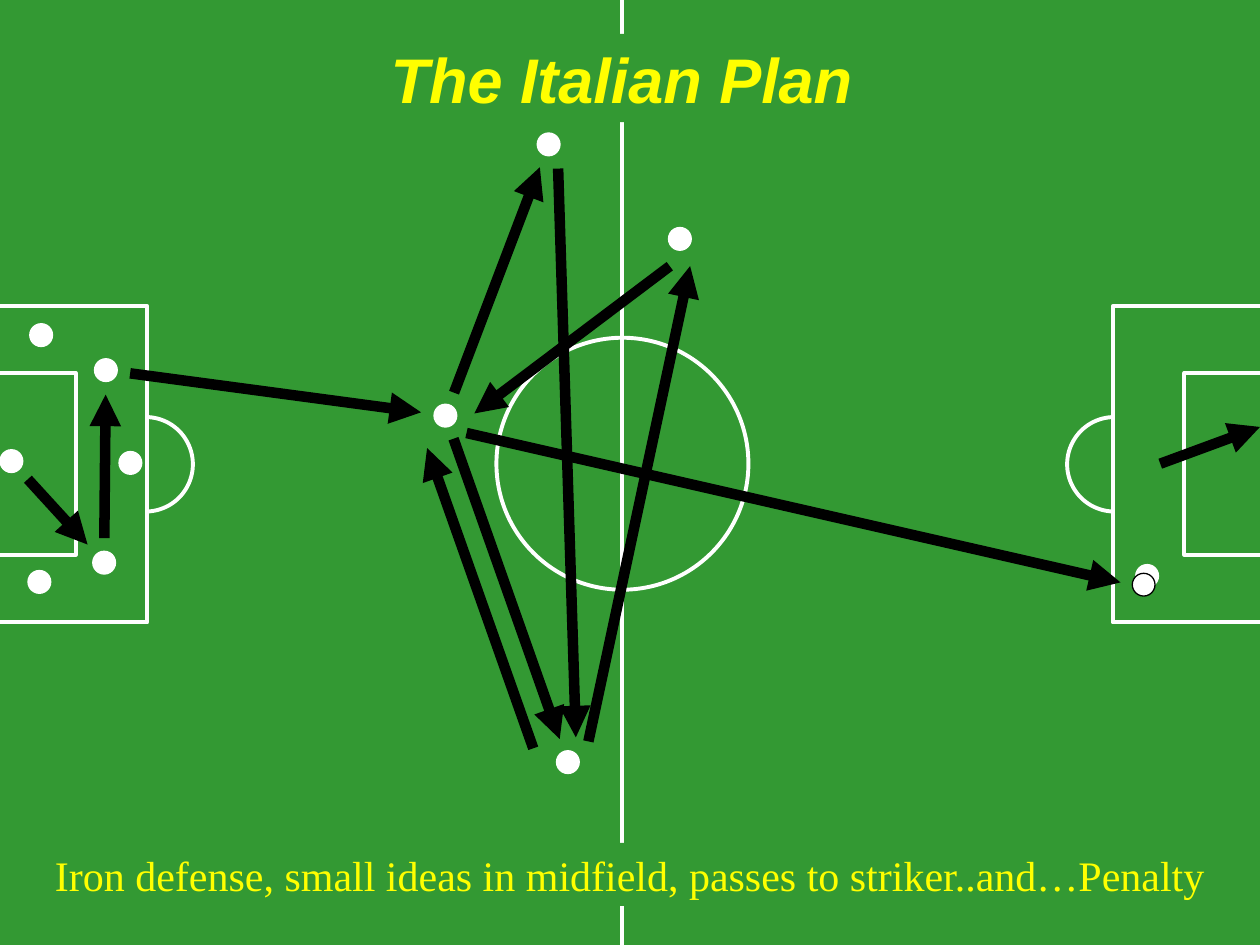
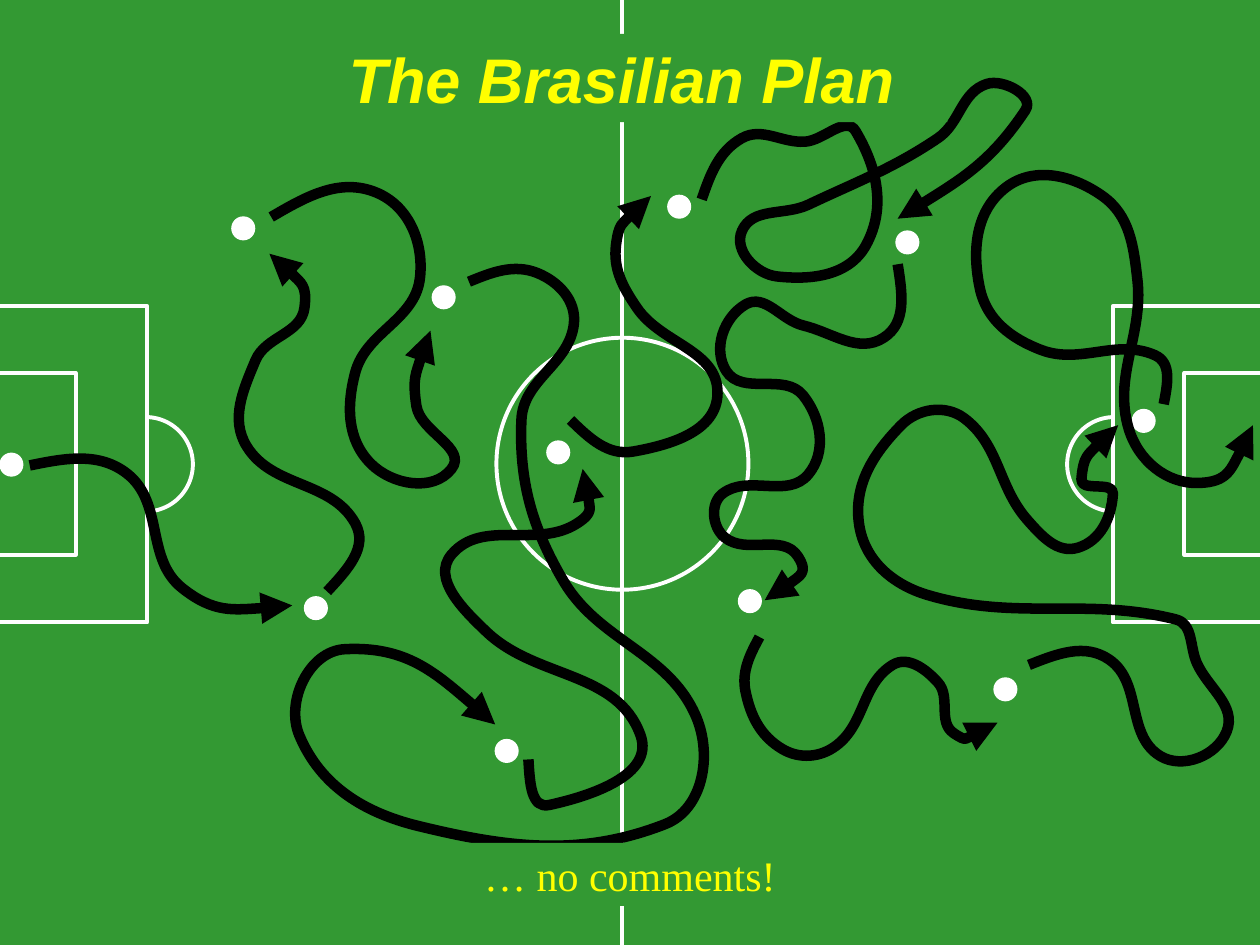
from math import dist

from lxml import etree
from pptx import Presentation
from pptx.dml.color import RGBColor
from pptx.enum.shapes import MSO_CONNECTOR, MSO_SHAPE
from pptx.enum.text import MSO_ANCHOR, MSO_AUTO_SIZE, PP_ALIGN
from pptx.oxml.ns import qn
from pptx.util import Pt

STRAIGHT = MSO_CONNECTOR.STRAIGHT
OVAL = MSO_SHAPE.OVAL
RECTANGLE = MSO_SHAPE.RECTANGLE
TOP = MSO_ANCHOR.TOP
GROW = MSO_AUTO_SIZE.SHAPE_TO_FIT_TEXT
CENTER = PP_ALIGN.CENTER

WIDTH, HEIGHT = 720, 540
MIDLINE = 355.7
COLORS = {"grass": "339933", "chalk": "FFFFFF", "move": "000000", "text": "FFFF00"}
CHALK_WEIGHT, MOVE_WEIGHT, THIN = 2.25, 6, 0.75
PLAYER_SIZE = 13
PASS_GAP = 14
CURVE_TENSION = 0.37

# Slide 1: players, and passes as (from, to, shift to the right of the run)
ITALIAN_PLAYERS = {
    "keeper": (0, 257), "left back": (17, 185), "right back": (16, 326),
    "left stopper": (54, 205), "right winger": (318, 429), "sweeper": (68, 258),
    "playmaker": (248, 231), "left winger": (307, 76), "forward": (382, 130),
    "right stopper": (53, 315),
}
STRIKER, FOULED_STRIKER = (649, 322.6), (647, 327.6)
ITALIAN_PASSES = [
    ("keeper", "right stopper", 0), ("right stopper", "left stopper", 0),
    ("left stopper", "playmaker", 0), ("playmaker", "left winger", 0),
    ("left winger", "right winger", -5), ("right winger", "forward", 9),
    ("forward", "playmaker", -9), ("playmaker", "right winger", 0),
    ("right winger", "playmaker", -16), ("playmaker", "striker", 7),
]
PENALTY = (663, 265), (720, 244)

# Slide 2: player positions and the turning points of each dribble
BRASILIAN_PLAYERS = [
    (0, 259), (132.5, 124), (174, 341), (312.5, 252), (381.6, 111.6), (422, 337),
    (283, 422.6), (512, 132), (247, 163.4), (568, 387.4), (647, 234),
]
BRASILIAN_DRIBBLES = [
    [(17, 266), (73, 271), (104, 336), (167, 346)],
    [(187, 338), (203, 299), (141, 255), (146, 206), (174, 176), (154, 145)],
    [(155, 124), (215, 110), (240, 159), (203, 213), (212, 265), (258, 268), (238, 232),
     (246, 189)],
    [(268, 161), (307, 156), (328, 185), (298, 240), (322, 332), (398, 410), (380, 471),
     (239, 472), (171, 420), (197, 371), (283, 414)],
    [(302, 434), (314, 460), (366, 420), (278, 361), (258, 317), (330, 299), (333, 268)],
    [(326, 240), (362, 258), (410, 225), (364, 176), (352, 140), (372, 112)],
    [(401, 114), (424, 79), (460, 81), (489, 75), (495, 140), (444, 158), (424, 132),
     (462, 117), (536, 79), (564, 48), (586, 63), (513, 125)],
    [(513, 151), (505, 193), (459, 186), (426, 174), (415, 212), (459, 226), (462, 271),
     (413, 282), (414, 307), (456, 318), (437, 343)],
    [(434, 364), (426, 395), (447, 428), (478, 426), (510, 380), (536, 390), (545, 419),
     (570, 413)],
    [(588, 380), (634, 377), (663, 432), (701, 418), (684, 379), (672, 354), (530, 340),
     (491, 300), (515, 243), (551, 239), (587, 297), (616, 313), (636, 282), (618, 274),
     (639, 243)],
    [(665, 231), (660, 203), (595, 200), (560, 165), (575, 107), (630, 112), (650, 160),
     (645, 245), (685, 276), (716, 243)],
]


def color(name):
    return RGBColor.from_string(COLORS[name])


def midpoint(first, second):
    return (first[0] + second[0]) / 2, (first[1] + second[1]) / 2


def unit(start, end):
    length = dist(start, end)
    return (end[0] - start[0]) / length, (end[1] - start[1]) / length


def curve_points(knots):
    """Bezier points of a smooth curve: each inner tangent follows its neighbours."""
    arriving, leaving = {}, {}
    for index in range(1, len(knots) - 1):
        before, (x, y), after = knots[index - 1:index + 2]
        dx, dy = unit(before, after)
        back = CURVE_TENSION * dist(before, (x, y))
        ahead = CURVE_TENSION * dist((x, y), after)
        arriving[index] = x - dx * back, y - dy * back
        leaving[index] = x + dx * ahead, y + dy * ahead
    last = len(knots) - 1
    leaving[0] = midpoint(knots[0], arriving[1])
    arriving[last] = midpoint(knots[last], leaving[last - 1])
    points = [knots[0]]
    for index in range(last):
        points += [leaving[index], arriving[index + 1], knots[index + 1]]
    return points


def pass_ends(passer, receiver, shift):
    """Ends of a pass that stops short of both players and runs beside their line."""
    radius = PLAYER_SIZE / 2
    dx, dy = unit(passer, receiver)
    return [(x + radius + dx * gap - dy * shift, y + radius + dy * gap + dx * shift)
            for (x, y), gap in ((passer, PASS_GAP), (receiver, -PASS_GAP))]


class TacticsBoard:
    def __init__(self):
        self.presentation = Presentation()
        self.presentation.slide_width = Pt(WIDTH)
        self.presentation.slide_height = Pt(HEIGHT)
        fill = self.presentation.slide_master.background.fill
        fill.solid()
        fill.fore_color.rgb = color("grass")
        self.slide = None

    def new_slide(self):
        self.slide = self.presentation.slides.add_slide(self.presentation.slide_layouts[6])
        self.pitch()

    def style(self, shape, line, weight, fill=None):
        shape.shadow.inherit = False
        shape.line.color.rgb = color(line)
        shape.line.width = Pt(weight)
        if fill:
            shape.fill.solid()
            shape.fill.fore_color.rgb = color(fill)
        else:
            shape.fill.background()

    def arrowhead(self, shape):
        outline = shape.element.spPr.find(qn("a:ln"))
        etree.SubElement(outline, qn("a:tailEnd"), type="triangle")

    def preset(self, kind, left, top, width, height, line, weight, fill=None):
        shape = self.slide.shapes.add_shape(kind, Pt(left), Pt(top), Pt(width), Pt(height))
        self.style(shape, line, weight, fill)

    def line(self, start, end, line, weight):
        connector = self.slide.shapes.add_connector(
            STRAIGHT, *(Pt(value) for value in (*start, *end)))
        connector.line.color.rgb = color(line)
        connector.line.width = Pt(weight)
        etree.SubElement(connector.element.spPr, qn("a:effectLst"))
        return connector

    def outline(self, points, line, weight):
        start, *others = [(Pt(x), Pt(y)) for x, y in points]
        builder = self.slide.shapes.build_freeform(*start)
        builder.add_line_segments(others, close=False)
        shape = builder.convert_to_shape()
        self.style(shape, line, weight)
        return shape

    def pitch(self):
        self.line((MIDLINE, 0), (MIDLINE, HEIGHT), "chalk", CHALK_WEIGHT)
        self.preset(OVAL, MIDLINE - 72, 193, 144, 144, "chalk", CHALK_WEIGHT)
        for mirrored in (False, True):
            # Penalty area and goal area
            for depth, top, bottom in ((84.2, 175, 355.6), (43.2, 213.2, 317)):
                corners = [(0, top), (depth, top), (depth, bottom), (0, bottom)]
                points = [(WIDTH - x if mirrored else x, y) for x, y in corners]
                self.outline(points, "chalk", CHALK_WEIGHT)
            # Penalty arc: a circle whose inner part is hidden by grass
            for kind, left, top, width, height, line, weight, fill in (
                    (OVAL, 56.2, 238.3, 54, 54, "chalk", CHALK_WEIGHT, None),
                    (RECTANGLE, 52, 226, 30.5, 78, "grass", THIN, "grass")):
                if mirrored:
                    left = WIDTH - left - width
                self.preset(kind, left, top, width, height, line, weight, fill)

    def player(self, position, line="chalk"):
        self.preset(OVAL, *position, PLAYER_SIZE, PLAYER_SIZE, line, THIN, "chalk")

    def straight_pass(self, start, end):
        self.arrowhead(self.line(start, end, "move", MOVE_WEIGHT))

    def dribble(self, knots):
        shape = self.outline(curve_points(knots), "move", MOVE_WEIGHT)
        # Turn every three line segments into one Bezier segment
        segments = list(shape.element.iter(qn("a:lnTo")))
        for index in range(0, len(segments), 3):
            first, second, third = segments[index:index + 3]
            first.tag = qn("a:cubicBezTo")
            for segment in (second, third):
                first.append(segment[0])
                segment.getparent().remove(segment)
        self.arrowhead(shape)

    def caption(self, text, box, font_name, size, space_before, strong=False):
        shape = self.slide.shapes.add_textbox(*(Pt(value) for value in box))
        shape.fill.solid()
        shape.fill.fore_color.rgb = color("grass")
        text_frame = shape.text_frame
        text_frame.word_wrap = True
        text_frame.auto_size = GROW
        text_frame.vertical_anchor = TOP
        text_frame.text = text
        paragraph = text_frame.paragraphs[0]
        paragraph.alignment = CENTER
        paragraph.space_before = Pt(space_before)
        font = paragraph.runs[0].font
        font.name, font.size = font_name, Pt(size)
        font.bold = font.italic = strong
        font.color.rgb = color("text")

    def captions(self, title, comment):
        self.caption(title, (169.2, 19.4, 372.2, 50.4), "Arial", 36, 22.5, strong=True)
        self.caption(comment, (0, 481.7, WIDTH, 36), "Times New Roman", 24, 15)


def main():
    board = TacticsBoard()

    # Italian plan
    board.new_slide()
    for position in ITALIAN_PLAYERS.values():
        board.player(position)
    board.captions("The Italian Plan",
                   "Iron defense, small ideas in midfield, passes to striker..and…Penalty")
    board.player(STRIKER)
    board.player(FOULED_STRIKER, line="move")
    positions = {**ITALIAN_PLAYERS, "striker": STRIKER}
    for passer, receiver, shift in ITALIAN_PASSES:
        board.straight_pass(*pass_ends(positions[passer], positions[receiver], shift))
    board.straight_pass(*PENALTY)

    # Brasilian plan
    board.new_slide()
    for position in BRASILIAN_PLAYERS:
        board.player(position)
    for knots in BRASILIAN_DRIBBLES:
        board.dribble(knots)
    board.captions("The Brasilian Plan", "… no comments!")

    board.presentation.save("out.pptx")


if __name__ == "__main__":
    main()
